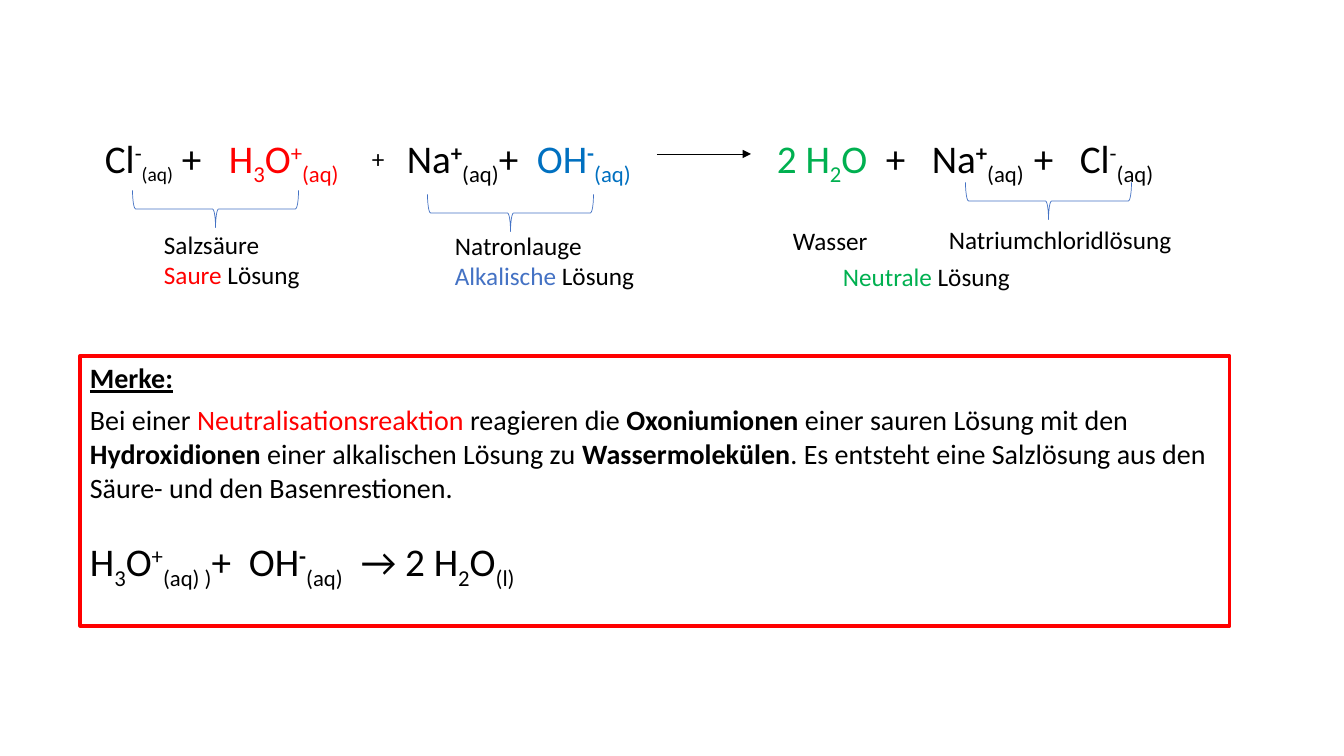
from pptx import Presentation
from pptx.dml.color import RGBColor
from pptx.enum import shapes, text
from pptx.oxml.ns import qn
from pptx.util import Emu, Pt
from lxml import etree

PX = 12192000 / 1344
HUE = {"black": "000000", "red": "FF0000", "blue": "0070C0",
       "steel": "4472C4", "green": "00B050"}
# Run styles: raised, lowered, bold and underlined text
STYLE = {
    "": {},
    "sup": {"base": 30},
    "sub": {"base": -25},
    "small": {"base": -25, "size": 24},
    "bold": {"bold": True},
    "boldsup": {"bold": True, "base": 30},
    "head": {"bold": True, "underline": True},
}


def px(*vals):
    return [Emu(round(v * PX)) for v in vals]


def write(shape, paras):
    """Each paragraph is (size, tab stops, runs); a run is (text, style, colour)."""
    frame = shape.text_frame
    frame.word_wrap = True
    frame.auto_size = text.MSO_AUTO_SIZE.SHAPE_TO_FIT_TEXT
    frame.vertical_anchor = text.MSO_ANCHOR.TOP
    for n, (size, stops, runs) in enumerate(paras):
        para = frame.paragraphs[0] if n == 0 else frame.add_paragraph()
        para.alignment = text.PP_ALIGN.LEFT
        if stops:
            tabs = etree.SubElement(para._p.get_or_add_pPr(), qn("a:tabLst"))
            for stop in px(*stops):
                etree.SubElement(tabs, qn("a:tab"), pos=str(stop), algn="l")
        for words, style, hue in runs:
            run = para.add_run()
            run.text = words
            form = {"name": "Calibri", "size": size, **STYLE[style]}
            base = form.pop("base", 0)
            form["size"] = Pt(form["size"])
            for key, val in form.items():
                setattr(run.font, key, val)
            run.font.color.rgb = RGBColor.from_string(HUE[hue])
            if base:
                run._r.get_or_add_rPr().set("baseline", str(base * 1000))


deck = Presentation()
deck.slide_width, deck.slide_height = px(1344, 756)
slide = deck.slides.add_slide(deck.slide_layouts[6])
parts = slide.shapes

# Ions that recur in the equations
AQ = ("(aq)", "sub", "black")
SODIUM = [("Na", "", "black"), ("+", "boldsup", "black"), AQ]
OXO = [("H", ""), ("3", "sub"), ("O", ""), ("+", "sup")]
HYDROX = [("OH", ""), ("-", "boldsup")]
WATER = [("H", ""), ("2", "sub"), ("O", "")]

acid = [("Cl", "", "black"), ("-", "sup", "black"), ("(aq)", "small", "black"),
        ("\t+\t", "", "black")]
acid += [(*bit, "red") for bit in OXO + [("(aq)", "sub")]]
base = SODIUM + [("+\t", "", "black")]
base += [(*bit, "blue") for bit in HYDROX + [("(aq)", "sub")]]
salt = [("2 ", "", "green")] + [(*bit, "green") for bit in WATER]
salt += [("\t+\t", "", "black"), *SODIUM, ("\t+\tCl", "", "black"),
         ("-", "sup", "black"), AQ]

# Equation and labels: left, top, width, height, paragraphs
boxes = [
    (95, 129, 278, 57, [(28, [77, 124], acid)]),
    (397, 129, 260, 57, [(28, [130], base)]),
    (767, 129, 418, 57, [(28, [109, 155, 257, 303], salt)]),
    (362, 138, 29, 40, [(18, [], [("+", "", "black")])]),
    (154, 224, 192, 72, [(18, [], [("Salzsäure", "", "black")]),
                         (18, [], [("Saure", "", "red"), (" Lösung", "", "black")])]),
    (445, 225, 208, 72, [(18, [], [("Natronlauge", "", "black")]),
                         (18, [], [("Alkalische", "", "steel"), (" Lösung", "", "black")])]),
    (783, 220, 100, 40, [(18, [], [("Wasser", "", "black")])]),
    (939, 219, 245, 40, [(18, [], [("Natriumchloridlösung", "", "black")])]),
    (833, 256, 197, 40, [(18, [], [("Neutrale", "", "green"), (" Lösung", "", "black")])]),
]
for *place, paras in boxes:
    write(parts.add_textbox(*px(*place)), paras)

# Reaction arrow
arrow = parts.add_connector(shapes.MSO_CONNECTOR.STRAIGHT, *px(657, 154, 751, 154))
arrow.line.color.rgb = RGBColor.from_string(HUE["black"])
arrow.line.width = Pt(0.5)
etree.SubElement(arrow.line._get_or_add_ln(), qn("a:tailEnd"), type="triangle")
etree.SubElement(arrow._element.spPr, qn("a:effectLst"))

# Braces under the solutions, and the frame of the rule
BRACE, RECT = shapes.MSO_SHAPE.RIGHT_BRACE, shapes.MSO_SHAPE.RECTANGLE
for kind, place, turn, hue, width in [
    (BRACE, (197, 126, 37, 166), 90, "steel", 0.5),
    (BRACE, (492, 130, 37, 166), 90, "steel", 0.5),
    (BRACE, (1030, 118, 37, 166), 90, "steel", 0.5),
    (RECT, (80, 356, 1150, 270), 0, "red", 2.25),
]:
    shape = parts.add_shape(kind, *px(*place))
    shape.rotation = turn
    shape.shadow.inherit = False
    shape.fill.background()
    shape.line.color.rgb = RGBColor.from_string(HUE[hue])
    shape.line.width = Pt(width)

# Rule text goes in the frame, the last shape drawn
rule = [
    ("Bei einer ", "", "black"), ("Neutralisationsreaktion", "", "red"),
    (" reagieren die ", "", "black"), ("Oxoniumionen", "bold", "black"),
    (" einer sauren Lösung mit den ", "", "black"), ("Hydroxidionen", "bold", "black"),
    (" einer alkalischen Lösung zu ", "", "black"), ("Wassermolekülen", "bold", "black"),
    (". Es entsteht eine Salzlösung aus den Säure- und den Basenrestionen.", "", "black"),
]
core = OXO + [("(aq) )", "sub"), ("+\t", "")] + HYDROX
core += [("(aq)", "sub"), ("\t→ 2 ", "")] + WATER + [("(l)", "sub")]
write(shape, [
    (20, [], [("Merke:", "head", "black")]),
    (20, [], rule),
    (28, [159, 271], [(*bit, "black") for bit in core]),
])
head, _, last = shape.text_frame.paragraphs
head.space_after = Pt(6)
last.space_before = Pt(24)

deck.save("out.pptx")
